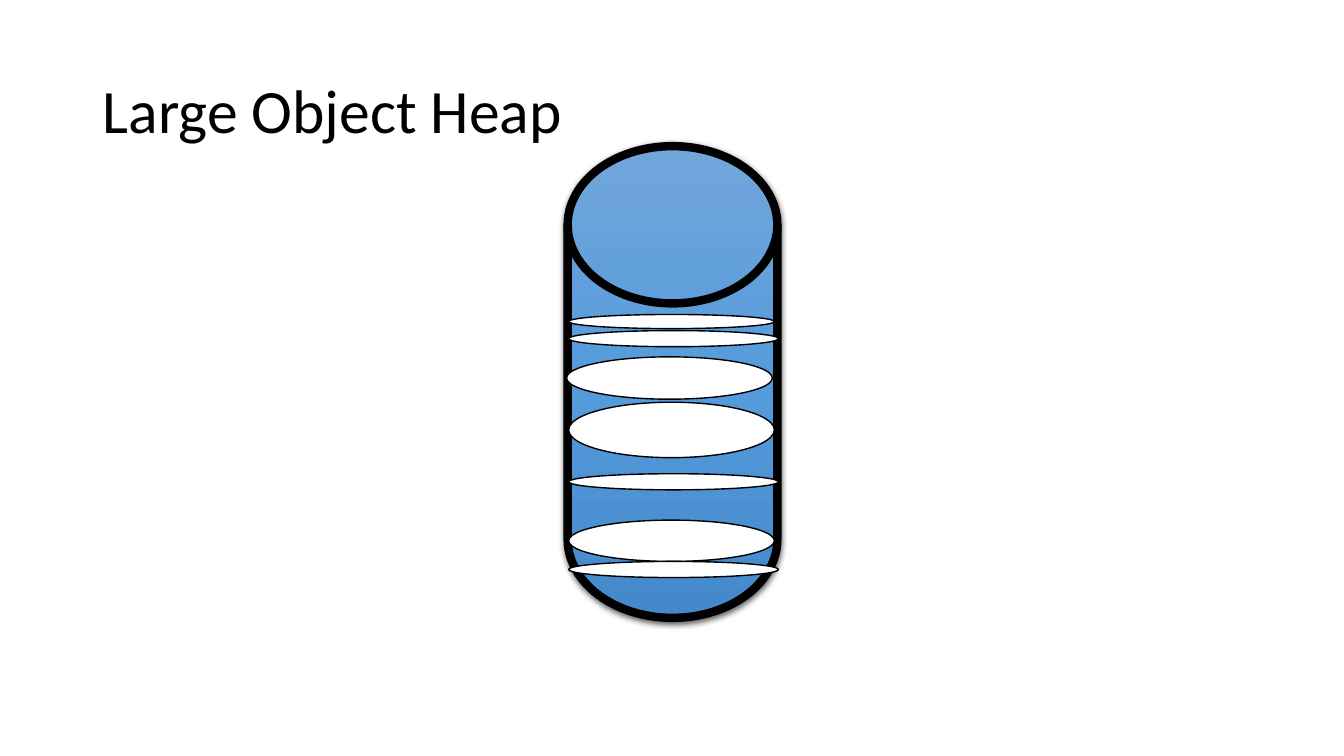
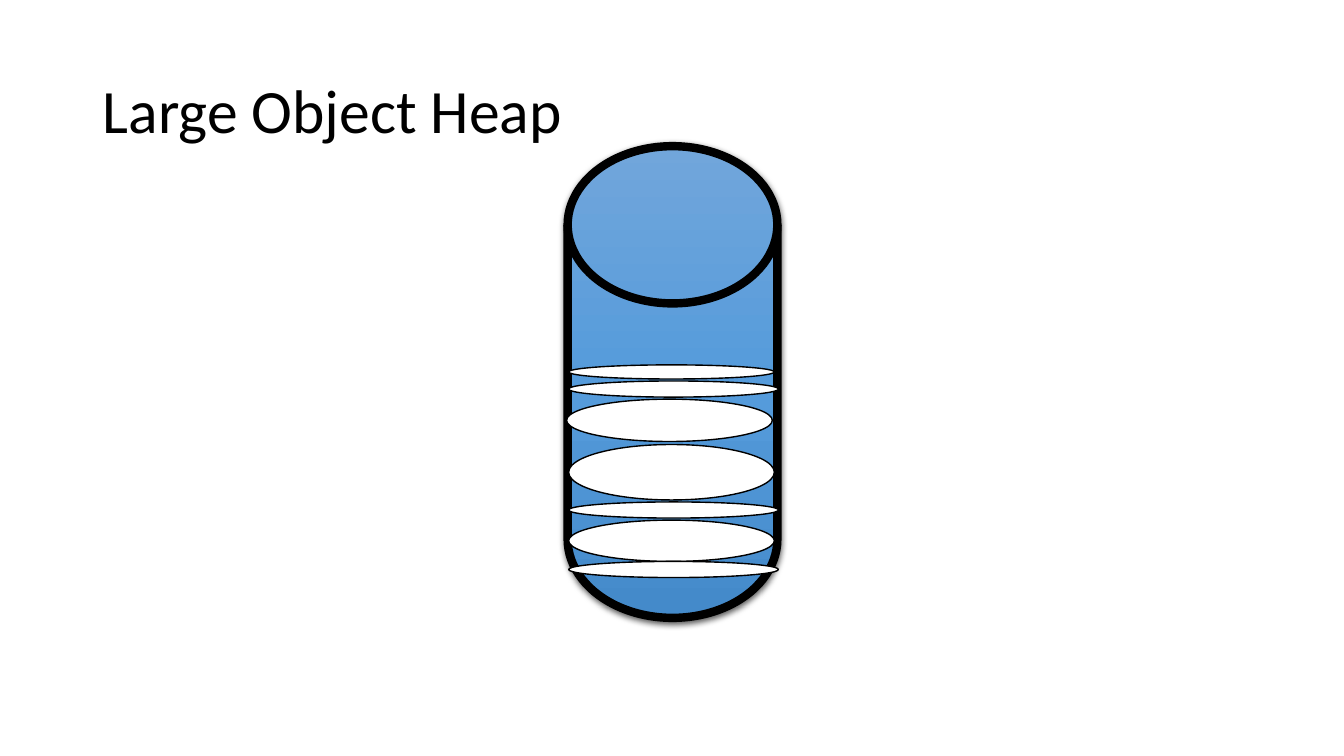
"""Draw a large object heap before and after compaction."""
from dataclasses import dataclass

from lxml import etree
from pptx import Presentation
from pptx import util as u
from pptx.dml.color import RGBColor
from pptx.enum import shapes, text
from pptx.oxml.ns import qn

PX = 9144
BLACK = "000000"
WHITE = "FFFFFF"
GRADIENT = ((0, "71A6DB"), (50, "559BDB"), (100, "448ACA"))
FONT = "Calibri"
TITLE = "Large Object Heap"


@dataclass(frozen=True)
class HeapObject:
    """Ellipse in the heap, with its top on each slide."""
    left: int
    width: int
    height: int
    fragmented: int
    compacted: int


HEAP_OBJECTS = (
    HeapObject(564, 204, 41, 516, 516),
    HeapObject(564, 208, 16, 557, 557),
    HeapObject(564, 204, 55, 399, 441),
    HeapObject(564, 208, 16, 470, 498),
    HeapObject(564, 204, 14, 312, 362),
    HeapObject(564, 208, 16, 328, 378),
    HeapObject(562, 204, 42, 354, 396),
)


def px(n: int) -> u.Emu:
    """Turn pixels into EMU."""
    return u.Emu(n * PX)


def color(value: str) -> RGBColor:
    """Turn a hex string into a colour."""
    return RGBColor.from_string(value)


def add_text(slide, content: str, *, left: int, top: int, width: int, height: int,
             size: int, font: str = FONT, fill: str = BLACK, spacing: float = 0.9):
    """Add a wrapped, vertically centred text box."""
    tf = slide.shapes.add_textbox(px(left), px(top), px(width), px(height)).text_frame
    tf.word_wrap = True
    tf.vertical_anchor = text.MSO_ANCHOR.MIDDLE
    p = tf.paragraphs[0]
    p.line_spacing = spacing
    r = p.add_run()
    r.text = content
    r.font.size = u.Pt(size)
    r.font.name = font
    r.font.color.rgb = color(fill)


def add_outlined(slide, kind, left: int, top: int, width: int, height: int, line: int):
    """Add a white shape with a black outline and no shadow."""
    s = slide.shapes.add_shape(kind, px(left), px(top), px(width), px(height))
    s.shadow.inherit = False
    s.fill.solid()
    s.fill.fore_color.rgb = color(WHITE)
    s.line.color.rgb = color(BLACK)
    s.line.width = u.Pt(line)
    return s


def add_color_xml(parent, value: str):
    """Append a colour element to an XML parent."""
    return etree.SubElement(parent, qn("a:srgbClr"), val=value)


def set_gradient(s) -> None:
    """Fill a shape with the gradient from top to bottom."""
    s.fill.gradient()
    s.fill.gradient_angle = 270
    stops = s._element.spPr.find(".//" + qn("a:gsLst"))
    for stop in list(stops):
        stops.remove(stop)
    for percent, value in GRADIENT:
        stop = etree.SubElement(stops, qn("a:gs"), pos=str(percent * 1000))
        add_color_xml(stop, value)


def set_shadow(s) -> None:
    """Give a shape a soft shadow below it."""
    effects = s._element.spPr.find(qn("a:effectLst"))
    shadow = etree.SubElement(
        effects, qn("a:outerShdw"), blurRad=str(u.Pt(4.5)), dist=str(u.Pt(1.5)),
        dir="5400000", algn="ctr", rotWithShape="0")
    etree.SubElement(add_color_xml(shadow, BLACK), qn("a:alpha"), val="63000")


def add_heap_slide(prs, tops: list[int]) -> None:
    """Add a slide with the heap and its objects at the given tops."""
    slide = prs.slides.add_slide(prs.slide_layouts[6])
    heap = add_outlined(slide, shapes.MSO_SHAPE.FLOWCHART_MAGNETIC_DISK,
                        563, 145, 208, 468, line=6)
    set_gradient(heap)
    set_shadow(heap)
    add_text(slide, TITLE, left=92, top=40, width=1150, height=145, size=44)
    for item, top in zip(HEAP_OBJECTS, tops):
        add_outlined(slide, shapes.MSO_SHAPE.OVAL,
                     item.left, top, item.width, item.height, line=1)


def main() -> None:
    """Build and save the presentation."""
    prs = Presentation()
    prs.slide_width, prs.slide_height = px(1333), px(750)
    add_heap_slide(prs, [item.fragmented for item in HEAP_OBJECTS])
    add_heap_slide(prs, [item.compacted for item in HEAP_OBJECTS])
    prs.save("out.pptx")


if __name__ == "__main__":
    main()
